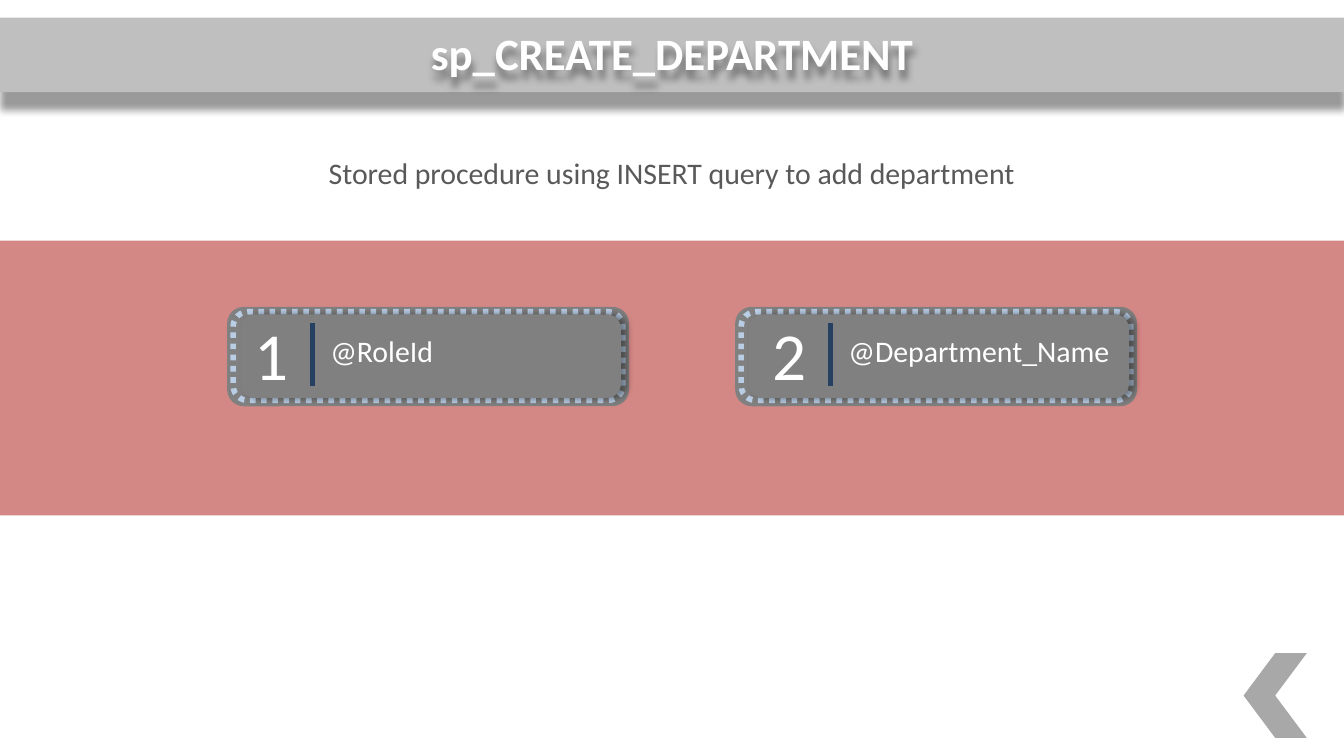
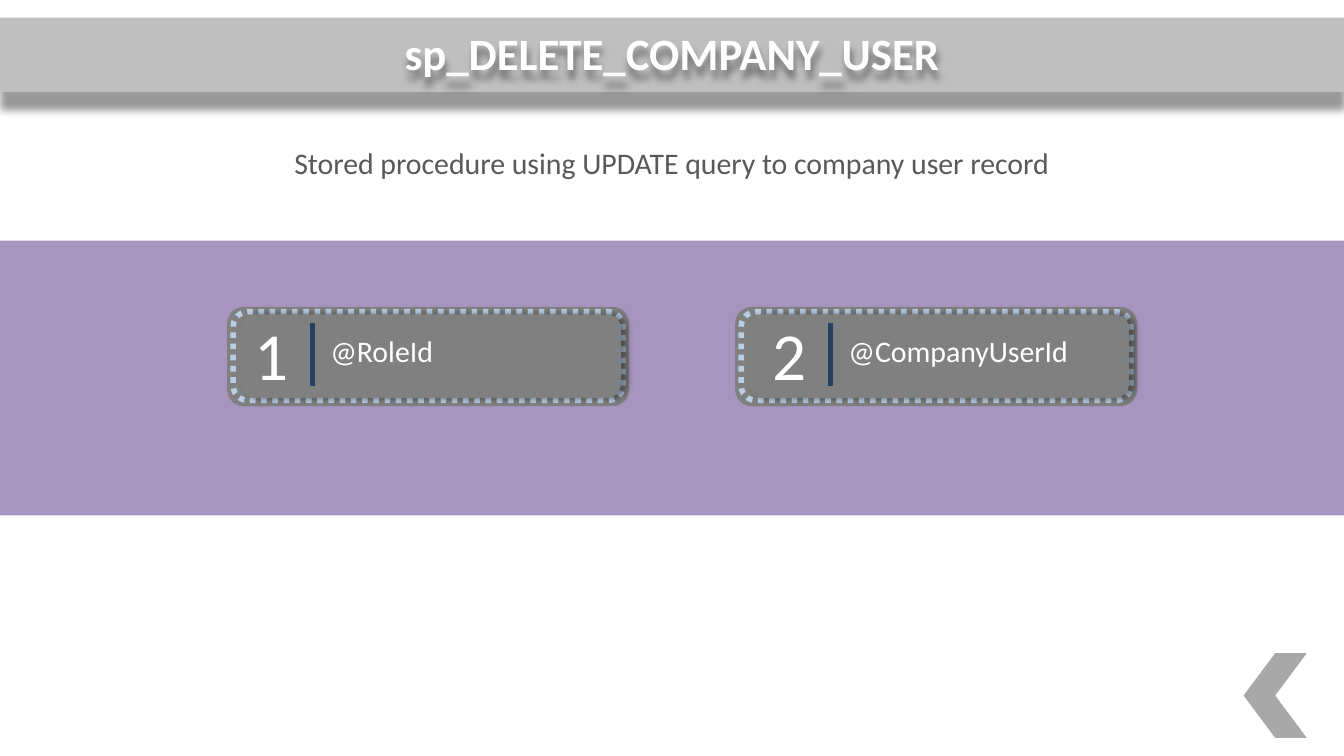
from lxml.etree import SubElement
from pptx import Presentation
from pptx.dml.color import RGBColor
from pptx.enum.dml import MSO_LINE
from pptx.enum.shapes import MSO_CONNECTOR, MSO_SHAPE
from pptx.enum.text import MSO_AUTO_SIZE, PP_ALIGN
from pptx.oxml.ns import qn
from pptx.util import Inches, Pt

COLOURS = {
    "red": "C0504D",
    "purple": "8064A2",
    "grey": "808080",
    "title band": "BFBFBF",
    "stitch": "B9CDE5",
    "navy": "254061",
    "body": "595959",
    "white": "FFFFFF",
    "shadow": "000000",
}
FONT = "Calibri"
WIDTH = Inches(10)
HEIGHT = WIDTH * 9 // 16
COLUMNS = 100
CELL = WIDTH / COLUMNS  # square grid: rows are as tall as columns are wide

# Left column of each card and of the label inside it
CARDS = [(16.9, 17), (54.7, 55.55)]

PROCEDURES = [
    {
        "title": "sp_CREATE_DEPARTMENT",
        "summary": "Stored procedure using INSERT query to add department",
        "summary_row": 11,
        "band": "red",
        "parameters": ["@RoleId", "@Department_Name"],
    },
    {
        "title": "sp_DELETE_COMPANY_USER",
        "summary": "Stored procedure using UPDATE query to company user record",
        "summary_row": 10.24,
        "band": "purple",
        "parameters": ["@RoleId", "@CompanyUserId"],
    },
]


def colour(name):
    return RGBColor.from_string(COLOURS[name])


def grid(*cells):
    return [round(cell * CELL) for cell in cells]


class Painter:
    def __init__(self):
        self.deck = Presentation()
        self.deck.slide_width, self.deck.slide_height = WIDTH, HEIGHT

    def new_page(self):
        self.page = self.deck.slides.add_slide(self.deck.slide_layouts[6])
        self.ungroup()

    def group(self):
        self.layer = self.page.shapes.add_group_shape().shapes

    def ungroup(self):
        self.layer = self.page.shapes

    def shadow(self, shape, distance, angle):
        shape.shadow.inherit = False
        effects = shape._element.spPr.find(qn("a:effectLst"))
        outer = SubElement(
            effects, qn("a:outerShdw"), blurRad=str(Pt(4)), dist=str(Pt(distance)),
            dir=str(angle * 60000), algn="ctr", rotWithShape="0")
        tint = SubElement(outer, qn("a:srgbClr"), val=COLOURS["shadow"])
        SubElement(tint, qn("a:alpha"), val="40000")

    def shape(self, kind, left, top, width, height, fill, opacity=100):
        shape = self.layer.add_shape(kind, *grid(left, top, width, height))
        shape.shadow.inherit = False
        shape.fill.solid()
        shape.fill.fore_color.rgb = colour(fill)
        shape.line.fill.background()
        if opacity < 100:
            tint = shape._element.spPr.find(qn("a:solidFill"))[0]
            SubElement(tint, qn("a:alpha"), val=str(opacity * 1000))
        return shape

    def text(self, words, left, top, width, height, size, tint="white",
             align=PP_ALIGN.CENTER, bold=False):
        box = self.layer.add_textbox(*grid(left, top, width, height))
        frame = box.text_frame
        frame.word_wrap = True
        frame.auto_size = MSO_AUTO_SIZE.SHAPE_TO_FIT_TEXT
        frame.text = words
        para = frame.paragraphs[0]
        para.alignment = align
        font = para.runs[0].font
        font.name, font.size, font.bold = FONT, Pt(size), bold
        font.color.rgb = colour(tint)
        return box

    def divider(self, column, top, bottom):
        line = self.layer.add_connector(
            MSO_CONNECTOR.STRAIGHT, *grid(column, top, column, bottom))
        line.line.color.rgb = colour("navy")
        line.line.width = Pt(2.5)
        SubElement(line._element.spPr, qn("a:effectLst"))

    def title(self, words):
        self.group()
        band = self.shape(MSO_SHAPE.RECTANGLE, 0, 1.32, COLUMNS, 5.55, "title band")
        self.shadow(band, 9, 90)
        box = self.text(words, 0, 1.5, COLUMNS, 4.8, 24, bold=True)
        frame = box.text_frame
        frame.auto_size = MSO_AUTO_SIZE.NONE
        frame.margin_left = frame.margin_right = Inches(0.07)
        frame.margin_top = frame.margin_bottom = Inches(0.04)
        self.shadow(box, 4, 90)
        self.ungroup()

    def card(self, left, label_left, number, parameter):
        # Plate, stitched border and shaded centre
        rounded = MSO_SHAPE.ROUNDED_RECTANGLE
        self.group()
        self.shape(rounded, left, 22.83, 29.9, 7.4, "grey")
        stitch = self.shape(rounded, left + 0.45, 23.2, 29, 6.6, "grey")
        stitch.line.color.rgb = colour("stitch")
        stitch.line.width = Pt(3)
        stitch.line.dash_style = MSO_LINE.ROUND_DOT
        centre = self.shape(rounded, left + 1, 23.4, 28.3, 6.2, "grey")
        self.shadow(centre, 3, 0)
        # Number, divider and parameter name
        self.group()
        self.text(str(number), label_left, 22.8, 6.4, 7.1, 36)
        self.divider(label_left + 6.24, 24.03, 28.7)
        self.text(parameter, label_left + 6.6, 24.3, 23.3, 3.7, 16,
                  align=PP_ALIGN.LEFT)
        self.ungroup()

    def back_arrow(self):
        arrow = self.shape(MSO_SHAPE.CHEVRON, 92.53, 48.6, 4.7, 6.3, "grey", 68)
        arrow.rotation = 180


def main():
    painter = Painter()
    for procedure in PROCEDURES:
        painter.new_page()
        painter.shape(MSO_SHAPE.RECTANGLE, 0, 17.9, COLUMNS, 20.45,
                      procedure["band"], 68)
        painter.title(procedure["title"])
        for number, (place, parameter) in enumerate(
                zip(CARDS, procedure["parameters"]), 1):
            painter.card(*place, number, parameter)
        painter.text(procedure["summary"], 0, procedure["summary_row"],
                     COLUMNS, 3.7, 16, "body")
        painter.back_arrow()
    painter.deck.save("out.pptx")


if __name__ == "__main__":
    main()
